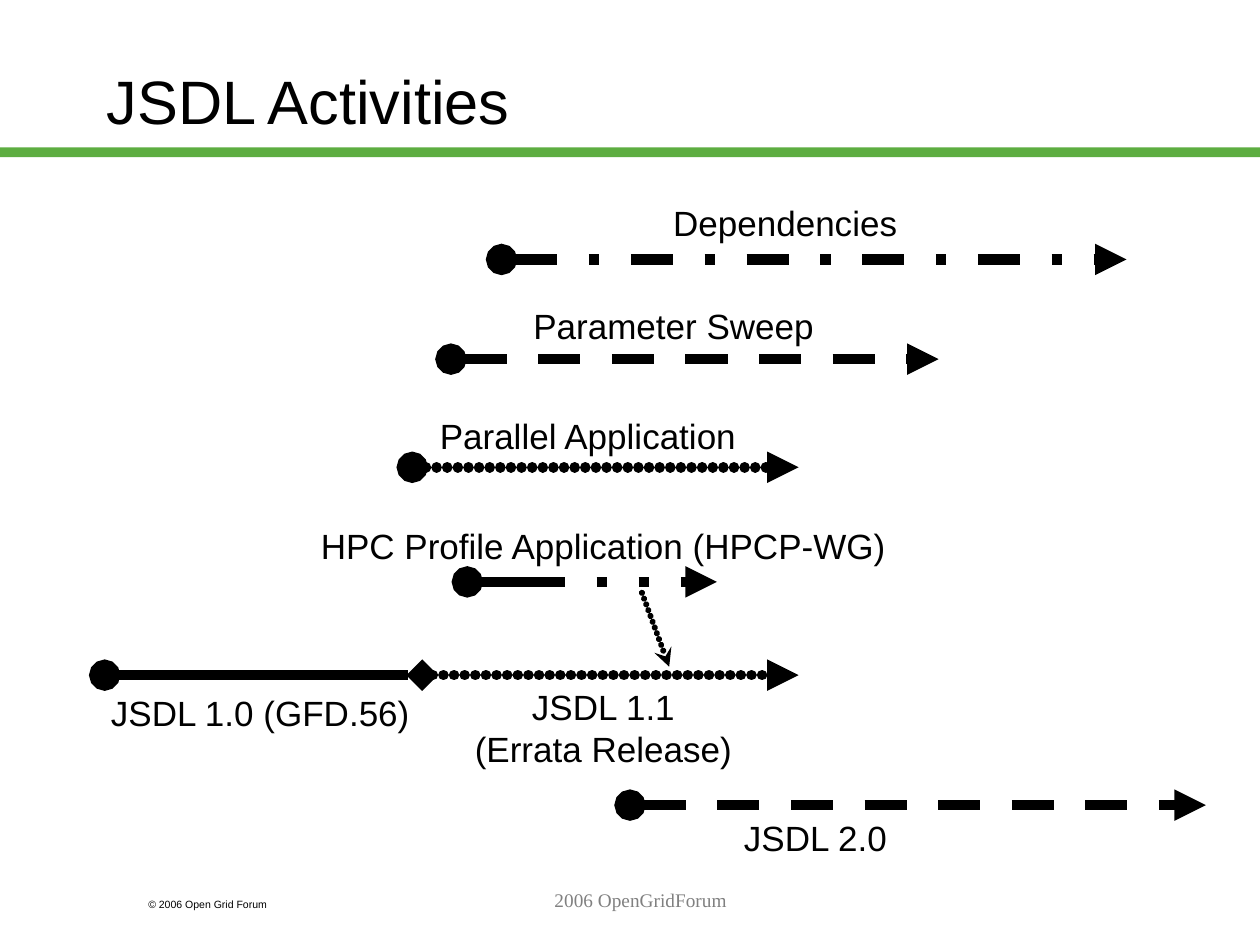
from typing import NamedTuple

from lxml.etree import SubElement
from pptx import Presentation
from pptx.dml.color import RGBColor
from pptx.enum.dml import MSO_LINE
from pptx.enum.shapes import MSO_CONNECTOR, MSO_SHAPE
from pptx.enum.text import MSO_ANCHOR, MSO_AUTO_SIZE, PP_ALIGN
from pptx.oxml.ns import qn
from pptx.util import Cm, Pt

BLACK = RGBColor(0x00, 0x00, 0x00)
GRAY = RGBColor(0x80, 0x80, 0x80)
GREEN = RGBColor(0x5D, 0xAD, 0x41)
DOTTED = "dotted"
LABEL_HEIGHT = 1.12


class Box(NamedTuple):
    """A region of the slide in centimetres."""
    left: float
    top: float
    width: float
    height: float = 0


class Track(NamedTuple):
    """An activity line with a label offset from its start."""
    box: Box
    dash: object
    label: str
    label_box: Box
    align: PP_ALIGN = PP_ALIGN.RIGHT
    head: str = "oval"
    tail: str = "triangle"


TRACKS = [
    Track(Box(10.11, 5.23, 12.6), MSO_LINE.DASH_DOT, "Dependencies",
          Box(3.2, -1.29, 5.03, LABEL_HEIGHT)),
    Track(Box(9.09, 7.24, 9.83), MSO_LINE.DASH, "Parameter Sweep",
          Box(1.4, -1.22, 6.17, LABEL_HEIGHT)),
    Track(Box(8.31, 9.42, 7.79), DOTTED, "Parallel Application",
          Box(0.28, -1.19, 6.5, LABEL_HEIGHT)),
    Track(Box(9.42, 11.73, 5.03), MSO_LINE.DASH_DOT_DOT,
          "HPC Profile Application (HPCP-WG)",
          Box(-3.25, -1.29, 11.94, LABEL_HEIGHT)),
    Track(Box(2.11, 13.61, 6.4), None, "JSDL 1.0 (GFD.56)",
          Box(-0.15, 0.21, 6.55, LABEL_HEIGHT), tail="diamond"),
    Track(Box(8.51, 13.61, 7.59), DOTTED, "JSDL 1.1\n(Errata Release)",
          Box(0.81, 0.08, 5.69, 1.96), PP_ALIGN.CENTER, head="none"),
    Track(Box(12.7, 16.23, 11.61), MSO_LINE.DASH, "JSDL 2.0",
          Box(2.03, 0.1, 3.4, LABEL_HEIGHT)),
]


def add_text(slide, box, text, size, align=PP_ALIGN.LEFT, color=BLACK,
             font="Arial", wrap=True):
    """Add a text box and return its frame."""
    shape = slide.shapes.add_textbox(*map(Cm, box))
    frame = shape.text_frame
    frame.word_wrap = wrap
    frame.auto_size = MSO_AUTO_SIZE.NONE
    frame.text = text
    for para in frame.paragraphs:
        para.alignment = align
        for span in para.runs:
            span.font.name = font
            span.font.size = Pt(size)
            span.font.color.rgb = color
    return frame


def add_line(slide, box, width, dash, head="none", tail="none"):
    """Draw a line across the box from its top left corner."""
    connector = slide.shapes.add_connector(
        MSO_CONNECTOR.STRAIGHT, Cm(box.left), Cm(box.top),
        Cm(box.left + box.width), Cm(box.top + box.height))
    line = connector.line
    line.color.rgb = BLACK
    line.width = Pt(width)
    outline = line._get_or_add_ln()
    if dash == DOTTED:
        outline.set("cap", "rnd")
        pattern = SubElement(outline, qn("a:custDash"))
        SubElement(pattern, qn("a:ds"), d="1000", sp="100000")
    elif dash is not None:
        line.dash_style = dash
    SubElement(outline, qn("a:headEnd"), type=head)
    SubElement(outline, qn("a:tailEnd"), type=tail)
    SubElement(connector._element.spPr, qn("a:effectLst"))


def draw_header(slide, box):
    """Place the title and the green rule beneath it."""
    rule = slide.shapes.add_shape(
        MSO_SHAPE.RECTANGLE, Cm(box.left), Cm(box.top + 2.97),
        Cm(box.width), Cm(0.2))
    rule.shadow.inherit = False
    rule.fill.solid()
    rule.fill.fore_color.rgb = GREEN
    rule.line.fill.background()
    title = add_text(slide, Box(box.left + 1.9, box.top + 0.43, 21.6, 3.18),
                     "JSDL Activities", 35)
    title.vertical_anchor = MSO_ANCHOR.MIDDLE


def draw_track(slide, track):
    """Place one activity line and its label."""
    box, offset = track.box, track.label_box
    add_line(slide, box, 6, track.dash, track.head, track.tail)
    add_text(slide, Box(box.left + offset.left, box.top + offset.top,
                        offset.width, offset.height),
             track.label, 20, track.align, wrap=False)


def draw_footer(slide, box):
    """Place the copyright line and the centred footer."""
    add_text(slide, Box(box.left + 2.74, box.top + 0.2, 3.81, 0.51),
             "© 2006 Open Grid Forum", 6)
    add_text(slide, Box(box.left + 5.51, box.top, 14.81, box.height),
             "2006 OpenGridForum", 11, PP_ALIGN.CENTER, GRAY,
             "Times New Roman")


def main():
    """Build the slide and save the deck."""
    deck = Presentation()
    deck.slide_width, deck.slide_height = Cm(25.4), Cm(19.05)
    slide = deck.slides.add_slide(deck.slide_layouts[6])
    draw_header(slide, Box(0, 0, 25.4, 3.61))
    for track in TRACKS:
        draw_track(slide, track)
    add_line(slide, Box(13.49, 13.44, -0.59, -1.6), 3.5, DOTTED,
             head="stealth")
    draw_footer(slide, Box(0, 17.78, 25.4, 1.27))
    deck.save("out.pptx")


if __name__ == "__main__":
    main()
